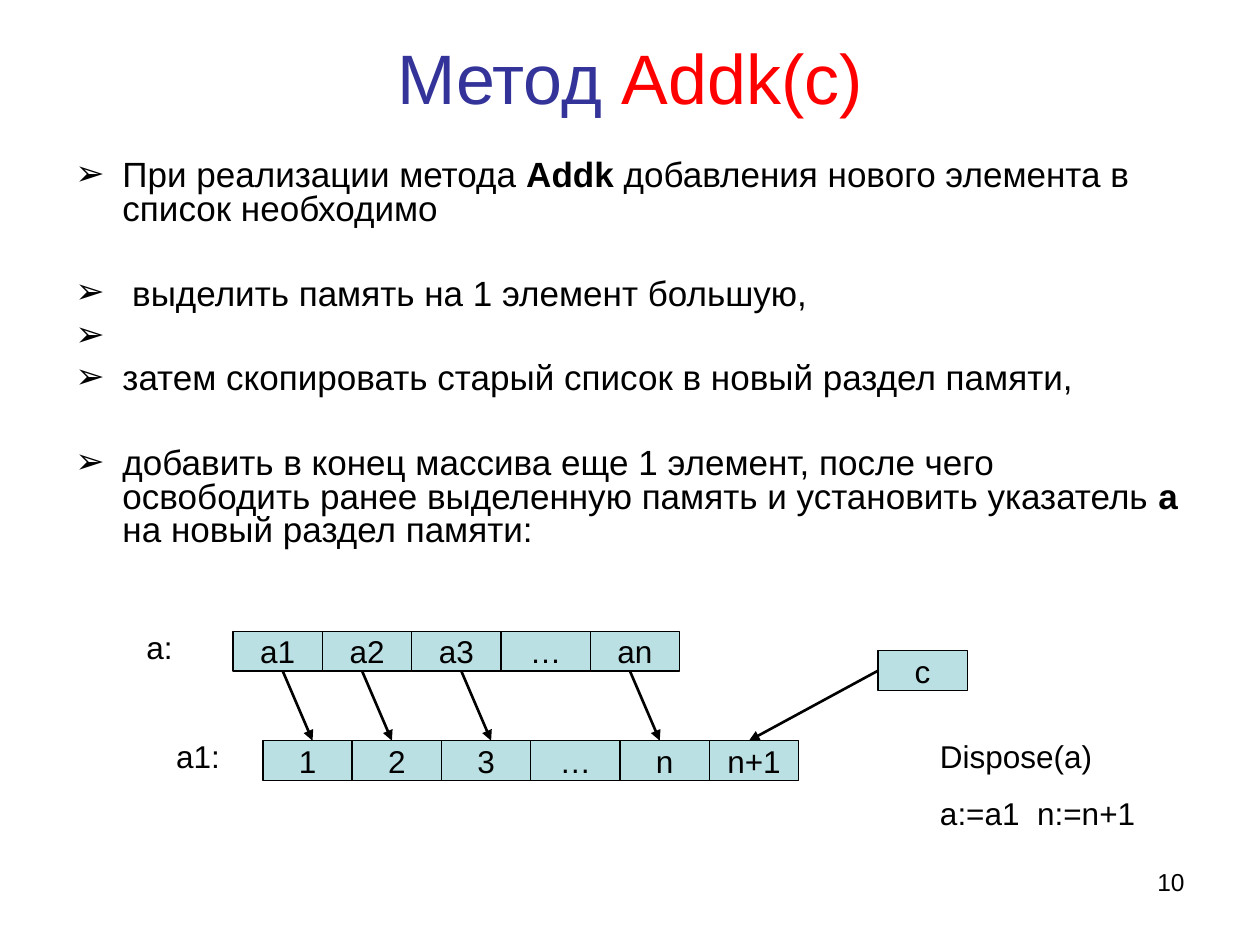
from lxml import etree
from pptx import Presentation
from pptx.dml.color import RGBColor
from pptx.enum.shapes import MSO_CONNECTOR, MSO_SHAPE
from pptx.enum.text import MSO_ANCHOR, PP_ALIGN
from pptx.oxml.ns import qn
from pptx.util import Cm, Pt

LEFT, CENTER, RIGHT = PP_ALIGN.LEFT, PP_ALIGN.CENTER, PP_ALIGN.RIGHT
TOP, MIDDLE = MSO_ANCHOR.TOP, MSO_ANCHOR.MIDDLE
RECTANGLE, STRAIGHT = MSO_SHAPE.RECTANGLE, MSO_CONNECTOR.STRAIGHT

FONT = "Arial"
BLACK, BLUE, RED, CELL_FILL = "000000", "333399", "FF0000", "BBE0E3"

TITLE = [("Метод ", BLUE), ("Addk(c)", RED)]
STEPS = [
    (0, [("При реализации метода ", False), ("Addk ", True),
         ("добавления нового элемента в список необходимо", False)]),
    (29.2, [(" выделить память на 1 элемент большую,", False)]),
    (5, [(" ", False)]),
    (5, [("затем скопировать старый список в новый раздел памяти,", False)]),
    (29.2, [("добавить в конец массива еще 1 элемент, после чего освободить "
             "ранее выделенную память и установить указатель ", False),
            ("a", True), (" на новый раздел памяти:", False)]),
]
CELL_WIDTH, CELL_HEIGHT = 1.8, 0.8
OLD_TOP, NEW_TOP = 12.73, 14.93
CELL_ROWS = [
    (4.7, OLD_TOP, ["a1", "a2", "a3", "…", "an"]),
    (5.3, NEW_TOP, ["1", "2", "3", "…", "n", "n+1"]),
    (17.7, 13.12, ["c"]),
]
COPY_STARTS = [5.7, 7.3, 9.3, 12.7]
COPY_SHIFT = 0.6
ADDED_ARROW = (17.7, 13.52, 15.1, NEW_TOP)
LABELS = [
    (2.7, 12.53, 1.4, 1.02, ["a:"]),
    (3.3, 14.73, 1.4, 1.02, ["a1:"]),
    (18.7, 14.73, 5, 2.18, ["Dispose(a)", "a:=a1  n:=n+1"]),
]
PAGE_NUMBER = "10"


def color(value):
    return RGBColor.from_string(value)


def add_run(paragraph, text, size, ink=BLACK, bold=False):
    run = paragraph.add_run()
    run.text = text
    run.font.name = FONT
    run.font.size = Pt(size)
    run.font.bold = bold
    run.font.color.rgb = color(ink)


def add_box(slide, left, top, width, height, anchor=TOP):
    box = slide.shapes.add_textbox(Cm(left), Cm(top), Cm(width), Cm(height))
    box.text_frame.word_wrap = True
    box.text_frame.vertical_anchor = anchor
    return box.text_frame


def next_paragraph(frame, index):
    return frame.add_paragraph() if index else frame.paragraphs[0]


def add_bullet(paragraph):
    properties = paragraph._p.get_or_add_pPr()
    properties.set("marL", str(Cm(0.95)))
    properties.set("indent", str(-Cm(0.95)))
    bullet_color = etree.SubElement(properties, qn("a:buClr"))
    etree.SubElement(bullet_color, qn("a:srgbClr"), val=BLACK)
    etree.SubElement(properties, qn("a:buFont"), typeface=FONT)
    etree.SubElement(properties, qn("a:buChar"), char="➢")


def add_cell(slide, left, top, text):
    cell = slide.shapes.add_shape(
        RECTANGLE, Cm(left), Cm(top), Cm(CELL_WIDTH), Cm(CELL_HEIGHT))
    cell.shadow.inherit = False
    cell.fill.solid()
    cell.fill.fore_color.rgb = color(CELL_FILL)
    cell.line.color.rgb = color(BLACK)
    cell.line.width = Pt(0.75)
    frame = cell.text_frame
    frame.word_wrap = False
    frame.vertical_anchor = MIDDLE
    frame.paragraphs[0].alignment = CENTER
    add_run(frame.paragraphs[0], text, 18)


def add_arrow(slide, *ends):
    arrow = slide.shapes.add_connector(STRAIGHT, *[Cm(end) for end in ends])
    arrow.line.color.rgb = color(BLACK)
    arrow.line.width = Pt(1.5)
    etree.SubElement(arrow.line._get_or_add_ln(), qn("a:tailEnd"), type="triangle")
    etree.SubElement(arrow._element.spPr, qn("a:effectLst"))


def main():
    deck = Presentation()
    deck.slide_width, deck.slide_height = Cm(25.4), Cm(19.05)
    slide = deck.slides.add_slide(deck.slide_layouts[6])

    heading = add_box(slide, 1.27, 0.76, 22.86, 1.55, MIDDLE).paragraphs[0]
    heading.alignment = CENTER
    for text, ink in TITLE:
        add_run(heading, text, 40, ink)

    body = add_box(slide, 1.27, 3.12, 22.86, 8.61)
    for index, (gap, runs) in enumerate(STEPS):
        step = next_paragraph(body, index)
        add_bullet(step)
        step.line_spacing = 0.8
        step.space_before = Pt(gap)
        for text, bold in runs:
            add_run(step, text, 20, bold=bold)

    for left, top, names in CELL_ROWS:
        for column, name in enumerate(names):
            add_cell(slide, left + column * CELL_WIDTH, top, name)

    for start in COPY_STARTS:
        add_arrow(slide, start, OLD_TOP + CELL_HEIGHT, start + COPY_SHIFT, NEW_TOP)
    add_arrow(slide, *ADDED_ARROW)

    for left, top, width, height, lines in LABELS:
        label = add_box(slide, left, top, width, height)
        for index, text in enumerate(lines):
            line = next_paragraph(label, index)
            line.alignment = LEFT
            line.space_before = Pt(11.2 if index else 0)
            add_run(line, text, 18)

    footer = add_box(slide, 18.2, 17.35, 5.93, 1.32).paragraphs[0]
    footer.alignment = RIGHT
    add_run(footer, PAGE_NUMBER, 14)

    deck.save("out.pptx")


if __name__ == "__main__":
    main()
